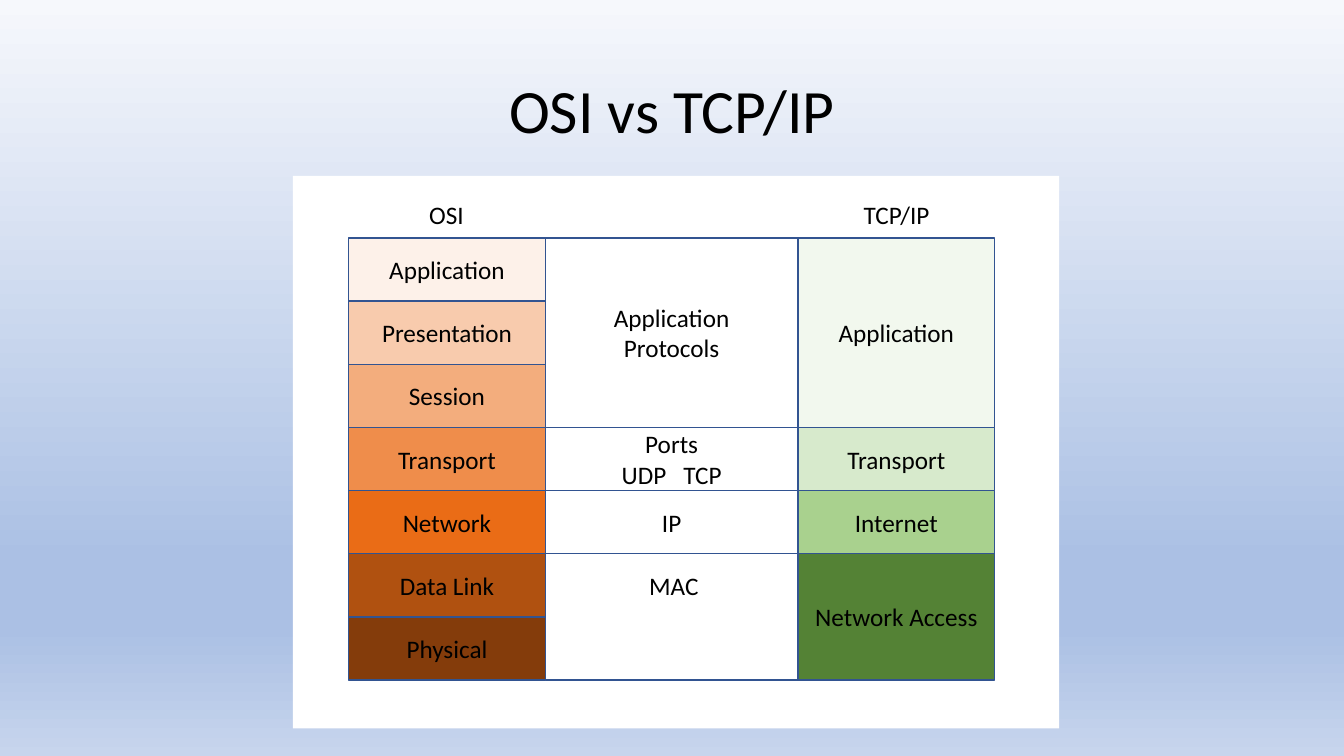
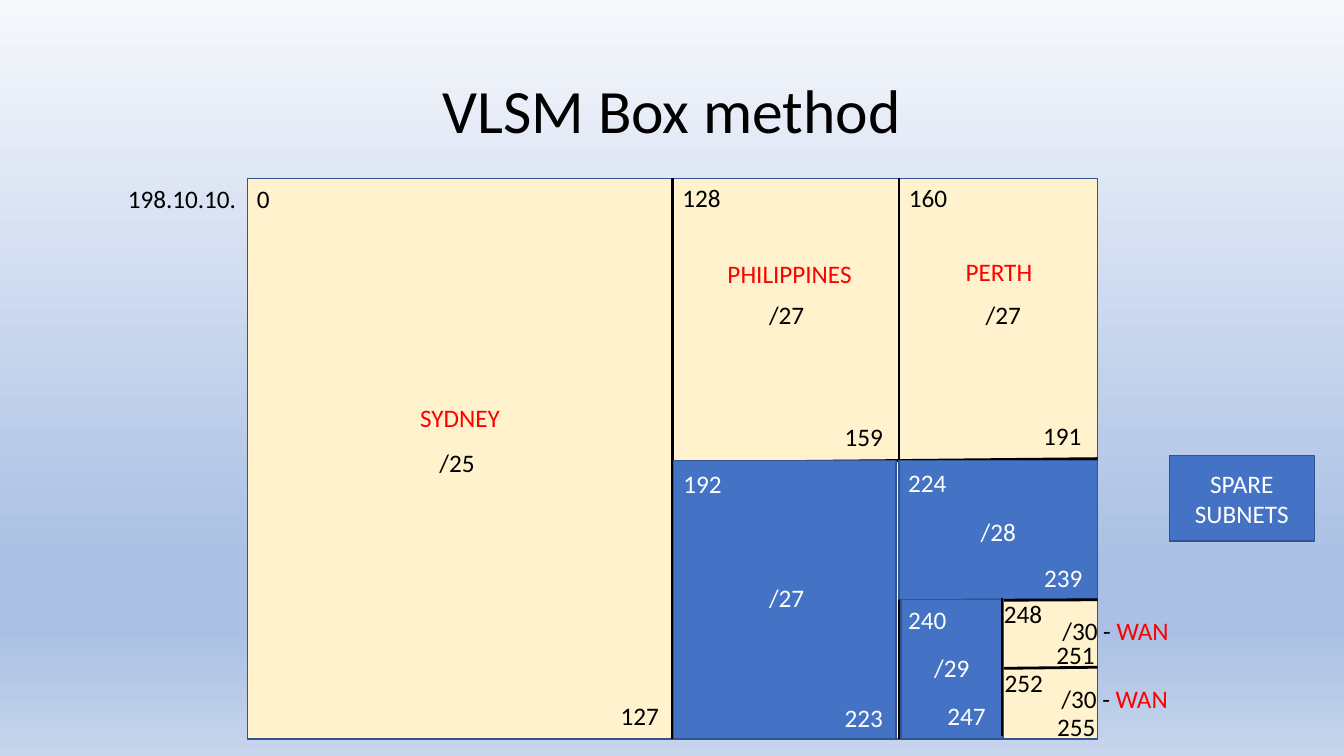
from dataclasses import dataclass
from itertools import accumulate

from lxml import etree
from pptx import Presentation
from pptx.dml.color import RGBColor
from pptx.enum import shapes, text
from pptx.oxml.ns import qn
from pptx.slide import Slide
from pptx.util import Pt

FONT = "Calibri"
COLORS = {
    "black": "000000", "white": "FFFFFF", "red": "FF0000",
    "outline": "325491", "used": "FFF2CC", "spare": "4472C4",
}
BACKGROUND = ((0, "F6F8FC"), (74, "ABC0E4"), (83, "ABC0E4"), (100, "C7D5ED"))


@dataclass
class Layer:
    name: str
    rows: int
    fill: str


@dataclass
class Box:
    x: float
    y: float
    w: float
    h: float
    fill: str
    text: str = ""
    color: str = COLORS["black"]
    outline: bool = True


@dataclass
class Line:
    x1: float
    y1: float
    x2: float
    y2: float


@dataclass
class Label:
    x: float
    y: float
    text: str
    color: str = COLORS["black"]
    w: float = 44.6
    wrap: bool = True
    red_text: str = ""


# Shared drawing functions
def write(p, words: str, color: str, size: float = 18) -> None:
    p.text = words
    p.font.name = FONT
    p.font.size = Pt(size)
    p.font.color.rgb = RGBColor.from_string(color)


def new_slide(prs, title: str) -> Slide:
    s = prs.slides.add_slide(prs.slide_layouts[6])
    fill = s.background.fill
    fill.gradient()
    fill.gradient_angle = 270
    stops = s.element.find(".//" + qn("a:gsLst"))
    for stop in list(stops):
        stops.remove(stop)
    for percent, color in BACKGROUND:
        stop = etree.SubElement(stops, qn("a:gs"), pos=str(percent * 1000))
        etree.SubElement(stop, qn("a:srgbClr"), val=color)

    tf = s.shapes.add_textbox(Pt(66), Pt(28.8), Pt(828), Pt(104.4)).text_frame
    tf.word_wrap = True
    tf.vertical_anchor = text.MSO_ANCHOR.MIDDLE
    p = tf.paragraphs[0]
    write(p, title, COLORS["black"], 44)
    p.alignment = text.PP_ALIGN.CENTER
    p.line_spacing = 0.9
    return s


def draw_box(s: Slide, box: Box):
    sp = s.shapes.add_shape(shapes.MSO_SHAPE.RECTANGLE,
                            Pt(box.x), Pt(box.y), Pt(box.w), Pt(box.h))
    sp.shadow.inherit = False
    sp.fill.solid()
    sp.fill.fore_color.rgb = RGBColor.from_string(box.fill)
    if box.outline:
        sp.line.color.rgb = RGBColor.from_string(COLORS["outline"])
        sp.line.width = Pt(1)
    else:
        sp.line.fill.background()
    if box.text:
        sp.text_frame.vertical_anchor = text.MSO_ANCHOR.MIDDLE
        p = sp.text_frame.paragraphs[0]
        write(p, box.text, box.color)
        p.alignment = text.PP_ALIGN.CENTER
    return sp


def draw_line(s: Slide, line: Line) -> None:
    connector = s.shapes.add_connector(
        shapes.MSO_CONNECTOR.STRAIGHT,
        Pt(line.x1), Pt(line.y1), Pt(line.x2), Pt(line.y2))
    connector.line.color.rgb = RGBColor.from_string(COLORS["black"])
    connector.line.width = Pt(2)
    etree.SubElement(connector.element.spPr, qn("a:effectLst"))


def draw_label(s: Slide, label: Label) -> None:
    tf = s.shapes.add_textbox(Pt(label.x), Pt(label.y),
                              Pt(label.w), Pt(29)).text_frame
    tf.word_wrap = label.wrap
    tf.auto_size = text.MSO_AUTO_SIZE.SHAPE_TO_FIT_TEXT
    p = tf.paragraphs[0]
    write(p, label.text, label.color)
    if label.red_text:
        r = p.add_run()
        r.text = label.red_text
        r.font.color.rgb = RGBColor.from_string(COLORS["red"])


# Slide 1: layer models side by side
def draw_stack(s: Slide, x: float, w: float, layers: list[Layer]) -> list:
    top, row = 170, 45.1
    starts = accumulate((layer.rows for layer in layers), initial=0)
    return [draw_box(s, Box(x, top + start * row, w, layer.rows * row,
                            layer.fill, layer.name))
            for start, layer in zip(starts, layers)]


def add_model_slide(prs) -> None:
    s = new_slide(prs, "OSI vs TCP/IP")
    white = COLORS["white"]
    draw_box(s, Box(209.3, 125.6, 547.2, 394.6, white, outline=False))

    osi_x, model_w, protocol_w = 249, 140.6, 180.4
    protocol_x = osi_x + model_w
    tcp_x = protocol_x + protocol_w
    draw_stack(s, osi_x, model_w, [
        Layer("Application", 1, "FDF1E9"),
        Layer("Presentation", 1, "F8CBAD"),
        Layer("Session", 1, "F3AD7D"),
        Layer("Transport", 1, "EF8D4B"),
        Layer("Network", 1, "EA6C16"),
        Layer("Data Link", 1, "B05110"),
        Layer("Physical", 1, "843C0B"),
    ])
    draw_stack(s, tcp_x, model_w, [
        Layer("Application", 3, "F2F8EE"),
        Layer("Transport", 1, "D7EACC"),
        Layer("Internet", 1, "A9D18E"),
        Layer("Network Access", 2, "548235"),
    ])
    protocols = draw_stack(s, protocol_x, protocol_w, [
        Layer("Application\vProtocols", 3, white),
        Layer("Ports\vUDP", 1, white),
        Layer("IP", 1, white),
        Layer("", 2, white),
    ])
    # One widened space separates the two transport protocols
    p = protocols[1].text_frame.paragraphs[0]
    gap, tcp = p.add_run(), p.add_run()
    gap.text, tcp.text = " ", "TCP"
    gap.font._element.set("spc", "810")
    draw_box(s, Box(402.5, 402.5, 157.7, 31.7, white, "MAC", outline=False))

    for label in (Label(299.5, 139, "OSI", w=39.6, wrap=False),
                  Label(609.8, 139, "TCP/IP", w=61.9, wrap=False)):
        draw_label(s, label)


# Slide 2: address space split into boxes
def add_subnet_slide(prs) -> None:
    s = new_slide(prs, "VLSM Box method")
    red, white, spare = COLORS["red"], COLORS["white"], COLORS["spare"]
    left, half, three_quarter, wan, right = 177, 480.4, 642.2, 715.8, 784
    top, middle, lower, bottom = 127.4, 329, 428.4, 527.8

    parts = [
        Box(left, top, right - left, bottom - top, COLORS["used"]),
        Line(half, top, half, bottom),
        Line(right, 327.6, half, 330.5),
        Line(three_quarter, top, three_quarter, bottom),
        Line(right, 476.6, wan, 477.4),
        Box(481, middle, 159, bottom - middle, spare),
        Box(three_quarter, middle, right - three_quarter, lower - middle, spare),
        Line(right, lower, three_quarter, 429.1),
        Box(643.7, lower, 72.7, bottom - lower, spare),
        Line(wan, 427, wan, 525.6),
        Box(835.2, 325.4, 103.7, 61.2, spare, "SPARE\vSUBNETS", white),
    ]
    for part in parts:
        if isinstance(part, Line):
            draw_line(s, part)
        else:
            draw_box(s, part)

    labels = [
        # Network prefix and site names
        Label(84.2, 127.4, "198.10.10.", w=92.9, wrap=False),
        Label(293, 283.7, "SYDNEY", red, 72, False),
        Label(512.6, 180.7, "PHILIPPINES", red, 103.7, False),
        Label(682.6, 179.3, "PERTH", red, 62.6, False),
        # First and last addresses of the used subnets
        Label(176.4, 127.4, "0", w=23.8, wrap=False),
        Label(436.3, 496.8, "127"),
        Label(480.4, 126.7, "128"),
        Label(596.2, 297.4, "159"),
        Label(642.2, 126.7, "160"),
        Label(738, 296.6, "191"),
        Label(709.9, 424.1, "248"),
        Label(747.4, 452.9, "251"),
        Label(710.6, 473, "252"),
        Label(748.1, 504.7, "255"),
        # First and last addresses of the spare subnets
        Label(481, 331.2, "192", white),
        Label(596.2, 498.2, "223", white),
        Label(641.5, 330.5, "224", white),
        Label(738.7, 398.2, "239", white),
        Label(641.5, 428.4, "240", white),
        Label(669.6, 496.8, "247", white),
        # Prefix lengths
        Label(306.7, 316, "/25"),
        Label(542.2, 210.2, "/27"),
        Label(697, 210.2, "/27"),
        Label(542.2, 412.6, "/27", white),
        Label(693.4, 365, "/28", white),
        Label(660.2, 462.2, "/29", white),
        Label(751.7, 435.6, "/30 - ", w=101.5, red_text="WAN"),
        Label(751, 484.6, "/30 - ", w=101.5, red_text="WAN"),
    ]
    for label in labels:
        draw_label(s, label)


def main() -> None:
    prs = Presentation()
    prs.slide_width, prs.slide_height = Pt(960), Pt(540)
    add_model_slide(prs)
    add_subnet_slide(prs)
    prs.save("out.pptx")


if __name__ == "__main__":
    main()
